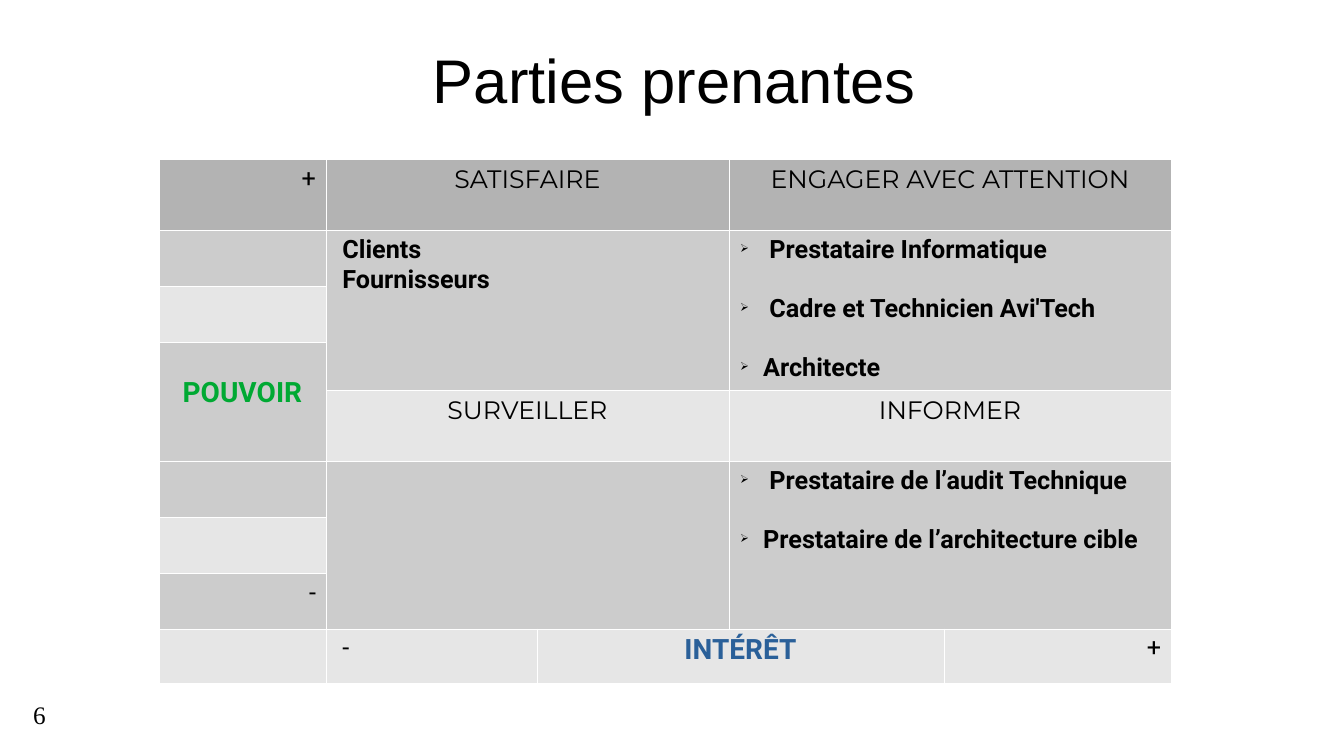
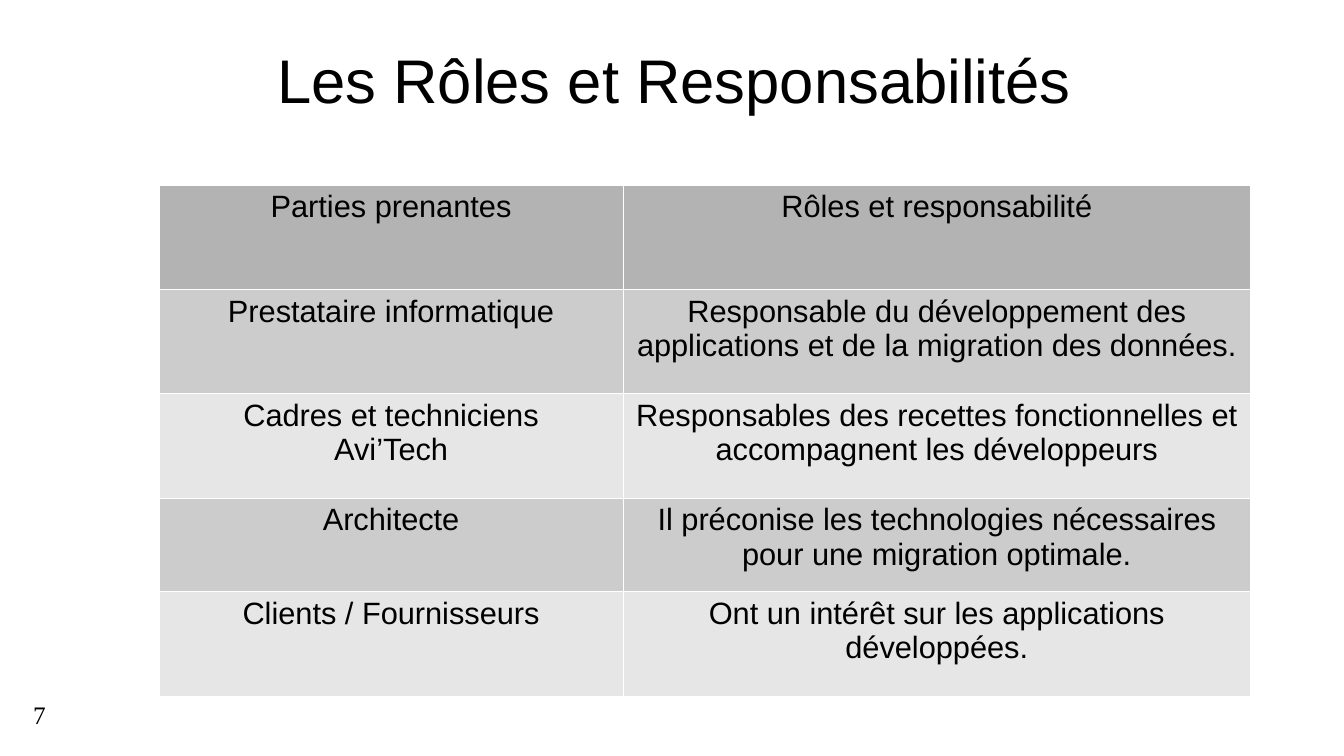
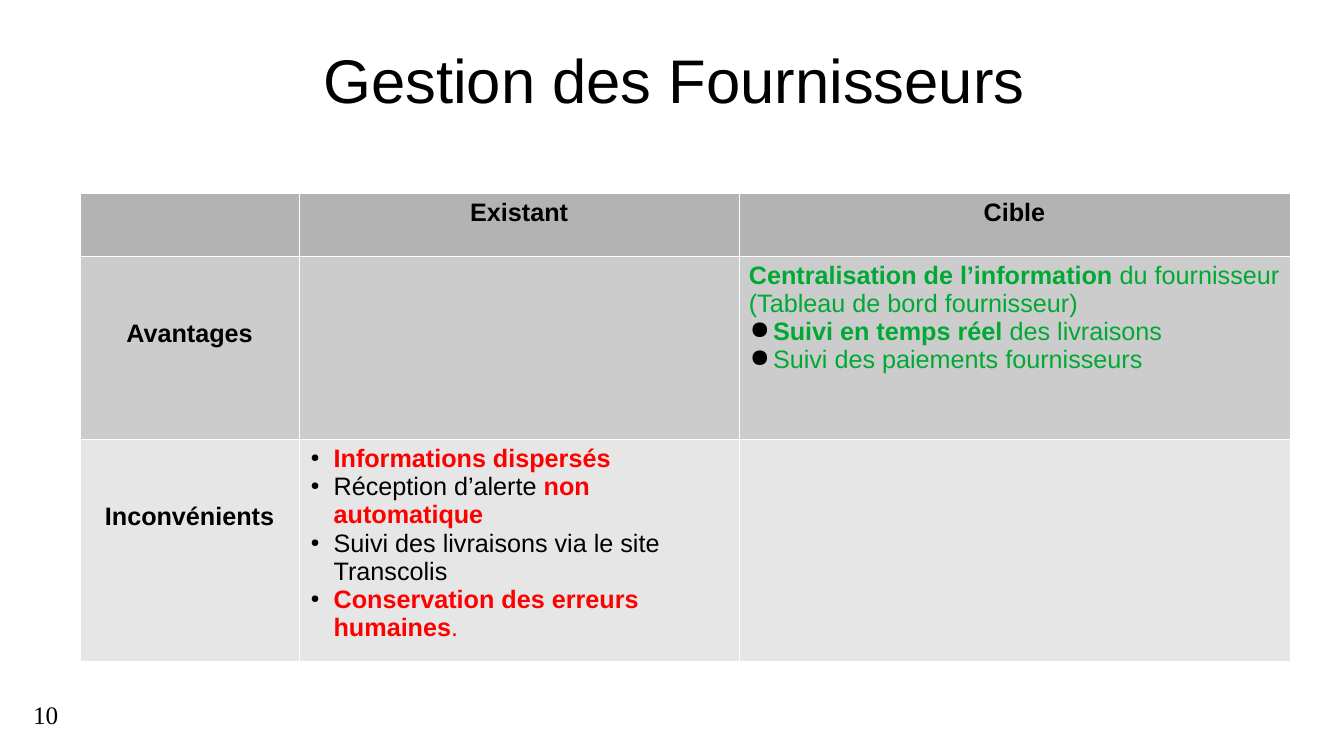
"""Three slides on stakeholders, their roles and supplier management."""
from lxml import etree
from pptx import Presentation
from pptx import util as u
from pptx.dml.color import RGBColor
from pptx.enum import text
from pptx.oxml import ns

HEADER, ODD_ROW, EVEN_ROW = "B3B3B3", "CCCCCC", "E6E6E6"
BLACK, WHITE, GREEN, RED, BLUE = "000000", "FFFFFF", "00A933", "FF0000", "2A6099"
BORDER_WIDTH = 0.06
INSETS = (7.2, 3.6, 7.2, 3.6)
HANGING = 16.5
ALIGNMENTS = {"left": text.PP_ALIGN.LEFT, "center": text.PP_ALIGN.CENTER,
              "right": text.PP_ALIGN.RIGHT}


def rgb(color):
    """Turn a hex string into a colour."""
    return RGBColor.from_string(color)


def add_element(parent, tag, **attributes):
    """Append an XML element with a prefixed tag."""
    return etree.SubElement(parent, ns.qn(tag), attributes)


def set_bullet(paragraph, character, percent, left):
    """Give a paragraph a black hanging bullet."""
    properties = paragraph._p.get_or_add_pPr()
    properties.set("marL", str(u.Pt(left)))
    properties.set("indent", str(u.Pt(-(left - 0.75))))
    color = add_element(properties, "a:buClr")
    add_element(color, "a:srgbClr", val=BLACK)
    add_element(properties, "a:buSzPct", val=str(percent * 1000))
    add_element(properties, "a:buChar", char=character)


def write(paragraph, content, size=18, font="Arial", color=BLACK, bold=False,
          align="left", bullet=None, percent=100, left=0, before=0):
    """Write a string or a list of (string, format) runs into a paragraph."""
    paragraph.alignment = ALIGNMENTS[align]
    paragraph.space_before = u.Pt(before)
    if bullet:
        set_bullet(paragraph, bullet, percent, left or HANGING + 0.75)
    elif left:
        paragraph._p.get_or_add_pPr().set("marL", str(u.Pt(left)))
    runs = [(content, {})] if isinstance(content, str) else content
    for words, changes in runs:
        run = paragraph.add_run()
        run.text = words
        run.font.size = u.Pt(size)
        run.font.name = font
        run.font.bold = changes.get("bold", bold)
        run.font.color.rgb = rgb(changes.get("color", color))


def write_all(frame, items, **style):
    """Write one paragraph per item; an item is a content or (content, format)."""
    for index, item in enumerate(items):
        content, changes = item if isinstance(item, tuple) else (item, {})
        paragraph = frame.add_paragraph() if index else frame.paragraphs[0]
        write(paragraph, content, **{**style, **changes})


def add_text(slide, box, content, insets, anchor, **style):
    """Add a wrapping text box."""
    frame = slide.shapes.add_textbox(*map(u.Pt, box)).text_frame
    frame.word_wrap = True
    frame.vertical_anchor = anchor
    (frame.margin_left, frame.margin_top,
     frame.margin_right, frame.margin_bottom) = map(u.Pt, insets)
    write_all(frame, [content], **style)


def add_page(presentation, title, number):
    """Add a slide with its title and page number."""
    slide = presentation.slides.add_slide(presentation.slide_layouts[6])
    add_text(slide, (16.5, 496, 110, 33), number, INSETS,
             text.MSO_ANCHOR.TOP, font="Times New Roman")
    add_text(slide, (142, 14.5, 680, 84), title, (0, 0, 0, 0),
             text.MSO_ANCHOR.MIDDLE, size=44, align="center")
    return slide


def set_borders(cell):
    """Draw hairline white borders round a cell."""
    properties = cell._tc.get_or_add_tcPr()
    for position, side in enumerate("LRTB"):
        line = add_element(properties, f"a:ln{side}", w=str(u.Pt(BORDER_WIDTH)))
        fill = add_element(line, "a:solidFill")
        add_element(fill, "a:srgbClr", val=WHITE)
        properties.insert(position, line)


def add_grid(slide, left, top, columns, rows):
    """Add an empty striped table and return it."""
    table = slide.shapes.add_table(
        len(rows), len(columns), u.Pt(left), u.Pt(top),
        u.Pt(sum(columns)), u.Pt(sum(rows))).table
    table.first_row = table.horz_banding = False
    for column, width in zip(table.columns, columns):
        column.width = u.Pt(width)
    for index, height in enumerate(rows):
        table.rows[index].height = u.Pt(height)
        for cell in table.rows[index].cells:
            cell.fill.solid()
            stripe = (EVEN_ROW, ODD_ROW)[index % 2] if index else HEADER
            cell.fill.fore_color.rgb = rgb(stripe)
            set_borders(cell)
    return table


def fill_cell(table, row, column, *items, span=(1, 1), drop=0, **style):
    """Merge a cell over its span and write its paragraphs, lowered by drop."""
    cell = table.cell(row, column)
    if span != (1, 1):
        cell.merge(table.cell(row + span[0] - 1, column + span[1] - 1))
    cell.margin_top = u.Pt(INSETS[1] + drop)
    write_all(cell.text_frame, items, **style)


def stakeholder_slide(presentation):
    """Build the power and interest matrix."""
    slide = add_page(presentation, "Parties prenantes", "6")
    table = add_grid(slide, 113.5, 113.5, (119.5, 151, 137, 153.5, 162.5),
                     (51, 40, 40, 33, 51, 40, 40, 39.5, 39))
    headings = {(0, 1): "SATISFAIRE", (0, 3): "ENGAGER AVEC ATTENTION",
                (4, 1): "SURVEILLER", (4, 3): "INFORMER"}
    for (row, column), heading in headings.items():
        fill_cell(table, row, column, heading, span=(1, 2),
                  font="Montserrat", align="center")
    space = 4.5
    wide = HANGING + 0.75 + space
    block = {"span": (3, 2), "font": "Roboto", "bold": True}
    arrows = {**block, "bullet": "➢", "percent": 45}
    fill_cell(table, 1, 1, "Clients", "Fournisseurs", left=space, **block)
    fill_cell(table, 1, 3, ("Prestataire Informatique", {"left": wide}),
              ("Cadre et Technicien Avi'Tech", {"left": wide, "before": 21}),
              ("Architecte", {"before": 21}), **arrows)
    fill_cell(table, 5, 1, span=(3, 2))
    fill_cell(table, 5, 3, ("Prestataire de l’audit Technique", {"left": wide}),
              ("Prestataire de l’architecture cible", {"before": 21}), **arrows)
    axis = {"size": 20, "font": "Roboto", "bold": True, "align": "center"}
    fill_cell(table, 3, 0, "POUVOIR", span=(2, 1), drop=21, color=GREEN, **axis)
    fill_cell(table, 8, 2, "INTÉRÊT", span=(1, 2), color=BLUE, **axis)
    for row, column, sign in ((0, 0, "+"), (7, 0, "-"), (8, 4, "+")):
        fill_cell(table, row, column, sign, font="Roboto", align="right")
    fill_cell(table, 8, 1, "-", font="Roboto", left=space)


def role_slide(presentation):
    """Build the table of roles and responsibilities."""
    slide = add_page(presentation, "Les Rôles et Responsabilités", "7")
    table = add_grid(slide, 113.5, 132, (332, 448), (74.5, 74.5, 74.5, 67, 74.5))
    roles = (
        (["Parties prenantes"], "Rôles et responsabilité"),
        (["Prestataire informatique"],
         "Responsable du développement des applications et de la migration des données."),
        (["Cadres et techniciens", "Avi’Tech"],
         "Responsables des recettes fonctionnelles et accompagnent les développeurs"),
        (["Architecte"],
         "Il préconise les technologies nécessaires pour une migration optimale."),
        (["Clients / Fournisseurs"],
         "Ont un intérêt sur les applications développées."),
    )
    for row, (party, role) in enumerate(roles):
        fill_cell(table, row, 0, *party, size=22, align="center")
        fill_cell(table, row, 1, role, size=22, align="center")


def supplier_slide(presentation):
    """Build the comparison of the existing and target supplier management."""
    slide = add_page(presentation, "Gestion des Fournisseurs", "10")
    table = add_grid(slide, 57, 138, (157, 314, 394), (45, 131, 154.5))
    for column, heading in enumerate(("Existant", "Cible"), 1):
        fill_cell(table, 0, column, heading, bold=True, align="center")
    for row, heading in enumerate(("Avantages", "Inconvénients"), 1):
        fill_cell(table, row, 0, heading, drop=41.5, bold=True, align="center")
    strong, alert = {"bold": True}, {"bold": True, "color": RED}
    dot = {"bullet": "●"}
    fill_cell(table, 1, 2,
              [("Centralisation de l’information", strong),
               (" du fournisseur (Tableau de bord fournisseur)", {})],
              ([("Suivi en temps réel", strong), (" des livraisons", {})], dot),
              ("Suivi des paiements fournisseurs", dot), color=GREEN)
    fill_cell(table, 2, 1,
              [("Informations dispersés", alert)],
              [("Réception d’alerte ", {}), ("non automatique", alert)],
              "Suivi des livraisons via le site Transcolis",
              [("Conservation des erreurs humaines", alert), (".", {"color": RED})],
              percent=45, **dot)


def main():
    """Build and save the presentation."""
    presentation = Presentation()
    presentation.slide_width = u.Pt(960.5)
    presentation.slide_height = u.Pt(540)
    for build in (stakeholder_slide, role_slide, supplier_slide):
        build(presentation)
    presentation.save("out.pptx")


if __name__ == "__main__":
    main()
